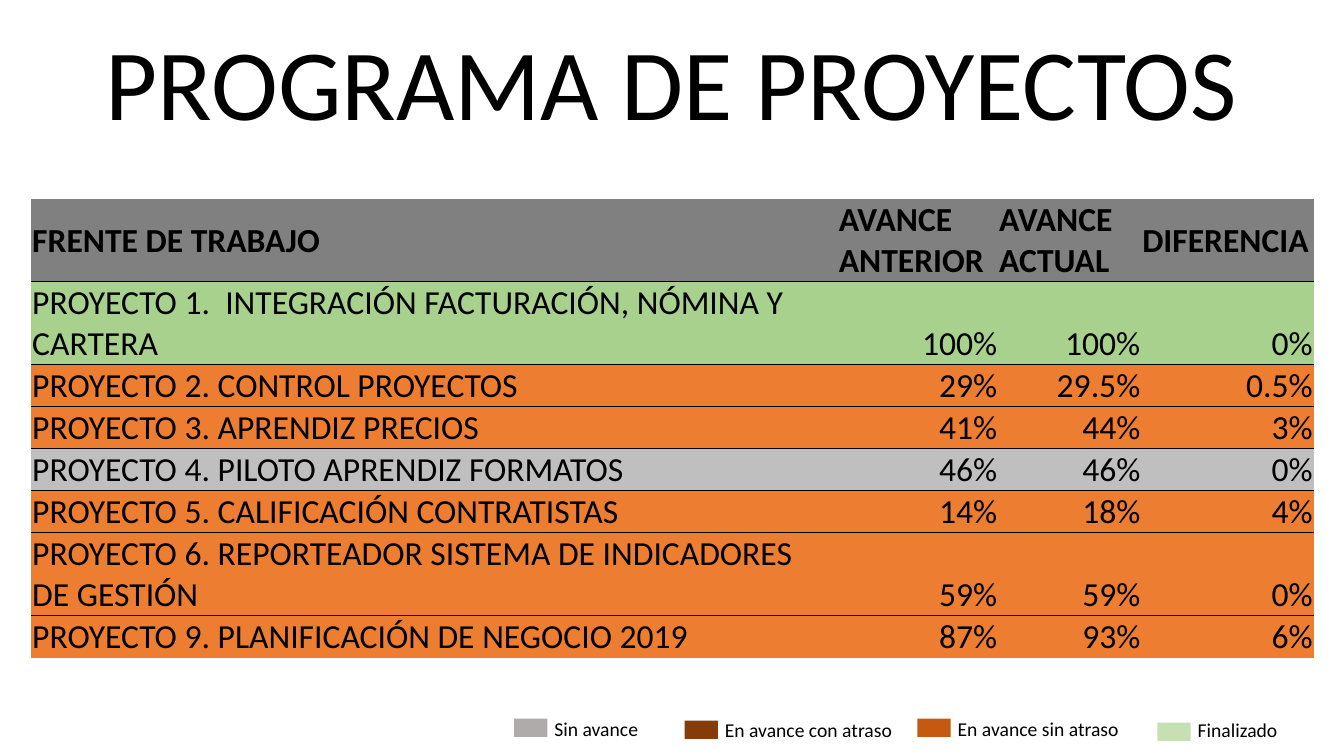
import pptx
import pptx.dml.color
import pptx.enum.shapes
import pptx.enum.text
import pptx.oxml
import pptx.oxml.ns
import pptx.util
from pptx.dml.color import RGBColor

WIDTH, HEIGHT = 13.33, 7.5
FONT = "Calibri"
BLACK = RGBColor(0x00, 0x00, 0x00)
HEADER_GRAY = RGBColor(0x80, 0x80, 0x80)
GREEN = RGBColor(0xA9, 0xD1, 0x8E)
ORANGE = RGBColor(0xED, 0x7D, 0x31)
GRAY = RGBColor(0xBF, 0xBF, 0xBF)
LEGEND_GRAY = RGBColor(0xAF, 0xAB, 0xAB)
LEGEND_BROWN = RGBColor(0x84, 0x3C, 0x0B)
LEGEND_ORANGE = RGBColor(0xC6, 0x59, 0x11)
LEGEND_GREEN = RGBColor(0xC6, 0xE0, 0xB4)

PLAIN_STYLE = "{2D5ABB26-0587-4C30-8999-92F81FD0307C}"
COLUMN_WIDTHS = (8, 1.59, 1.42, 1.71)
LINE_HEIGHT = 4.48 / 11

PROJECTS = (
    (HEADER_GRAY, 2, ("FRENTE DE TRABAJO", "AVANCE ANTERIOR", "AVANCE ACTUAL", "DIFERENCIA")),
    (GREEN, 2, ("PROYECTO 1.  INTEGRACIÓN FACTURACIÓN, NÓMINA Y CARTERA", "100%", "100%", "0%")),
    (ORANGE, 1, ("PROYECTO 2. CONTROL PROYECTOS", "29%", "29.5%", "0.5%")),
    (ORANGE, 1, ("PROYECTO 3. APRENDIZ PRECIOS", "41%", "44%", "3%")),
    (GRAY, 1, ("PROYECTO 4. PILOTO APRENDIZ FORMATOS", "46%", "46%", "0%")),
    (ORANGE, 1, ("PROYECTO 5. CALIFICACIÓN CONTRATISTAS", "14%", "18%", "4%")),
    (ORANGE, 2, ("PROYECTO 6. REPORTEADOR SISTEMA DE INDICADORES DE GESTIÓN", "59%", "59%", "0%")),
    (ORANGE, 1, ("PROYECTO 9. PLANIFICACIÓN DE NEGOCIO 2019", "87%", "93%", "6%")),
)

LEGEND = (
    ("Sin avance", LEGEND_GRAY, 5.1, 7.13, 7.06),
    ("En avance con atraso", LEGEND_BROWN, 6.79, 7.15, 7.07),
    ("En avance sin atraso", LEGEND_ORANGE, 9.1, 7.13, 7.06),
    ("Finalizado", LEGEND_GREEN, 11.48, 7.17, 7.07),
)


def inches(*lengths):
    """Convert several lengths to inches."""
    return [pptx.util.Inches(length) for length in lengths]


def format_text(paragraph, size, bold=False, alignment=pptx.enum.text.PP_ALIGN.LEFT):
    """Set the font and alignment of a paragraph."""
    paragraph.alignment = alignment
    paragraph.font.name = FONT
    paragraph.font.size = pptx.util.Pt(size)
    paragraph.font.bold = bold
    paragraph.font.color.rgb = BLACK


def add_title(slide, text):
    """Fill and place the title placeholder."""
    title = slide.shapes.title
    title.left, title.top, title.width, title.height = inches(0.61, 0.15, 12.1, 1.31)
    title.text_frame.text = text
    title.text_frame.auto_size = pptx.enum.text.MSO_AUTO_SIZE.NONE
    title.text_frame.vertical_anchor = pptx.enum.text.MSO_ANCHOR.TOP
    format_text(title.text_frame.paragraphs[0], 72, alignment=pptx.enum.text.PP_ALIGN.CENTER)


def add_bottom_border(cell):
    """Draw a thin black rule under a table cell."""
    border = pptx.oxml.parse_xml(
        f'<a:lnB {pptx.oxml.ns.nsdecls("a")} w="6350"><a:solidFill>'
        f'<a:srgbClr val="{BLACK}"/></a:solidFill></a:lnB>'
    )
    cell._tc.get_or_add_tcPr().insert(0, border)


def fill_cell(cell, text, color, is_header, is_name):
    """Write and format one table cell."""
    cell.text = text
    cell.fill.solid()
    cell.fill.fore_color.rgb = color
    cell.margin_left, cell.margin_right, cell.margin_top, cell.margin_bottom = inches(0.01, 0.01, 0.01, 0)
    anchors = pptx.enum.text.MSO_ANCHOR
    cell.vertical_anchor = anchors.MIDDLE if is_header else anchors.BOTTOM
    alignments = pptx.enum.text.PP_ALIGN
    alignment = alignments.LEFT if is_header or is_name else alignments.RIGHT
    format_text(cell.text_frame.paragraphs[0], 24, is_header, alignment)


def add_project_table(slide):
    """Add the table of projects, one fill colour a row."""
    frame = slide.shapes.add_table(
        len(PROJECTS), len(COLUMN_WIDTHS), *inches(0.31, 1.97, sum(COLUMN_WIDTHS), 11 * LINE_HEIGHT)
    )
    table = frame.table
    table.horz_banding = False
    table._tbl.tblPr.find(pptx.oxml.ns.qn("a:tableStyleId")).text = PLAIN_STYLE
    for column, width in zip(table.columns, COLUMN_WIDTHS):
        column.width = pptx.util.Inches(width)
    for row_index, (color, lines, texts) in enumerate(PROJECTS):
        table.rows[row_index].height = pptx.util.Inches(lines * LINE_HEIGHT)
        for column_index, text in enumerate(texts):
            cell = table.cell(row_index, column_index)
            fill_cell(cell, text, color, row_index == 0, column_index == 0)
            if row_index < len(PROJECTS) - 1:
                add_bottom_border(cell)


def add_legend_entry(slide, text, color, left, swatch_top, label_top):
    """Add a colour swatch and its label."""
    swatch = slide.shapes.add_shape(
        pptx.enum.shapes.MSO_SHAPE.RECTANGLE, *inches(left, swatch_top, 0.33, 0.18)
    )
    swatch.shadow.inherit = False
    swatch.fill.solid()
    swatch.fill.fore_color.rgb = color
    swatch.line.fill.background()
    label = slide.shapes.add_textbox(*inches(left + 0.3, label_top, 1.93, 0.34))
    label.text_frame.word_wrap = True
    label.text_frame.text = text
    format_text(label.text_frame.paragraphs[0], 14)


def main():
    """Build the project programme slide."""
    presentation = pptx.Presentation()
    presentation.slide_width, presentation.slide_height = inches(WIDTH, HEIGHT)
    slide = presentation.slides.add_slide(presentation.slide_layouts[5])
    add_title(slide, "PROGRAMA DE PROYECTOS")
    add_project_table(slide)
    for entry in LEGEND:
        add_legend_entry(slide, *entry)
    presentation.save("out.pptx")


main()
